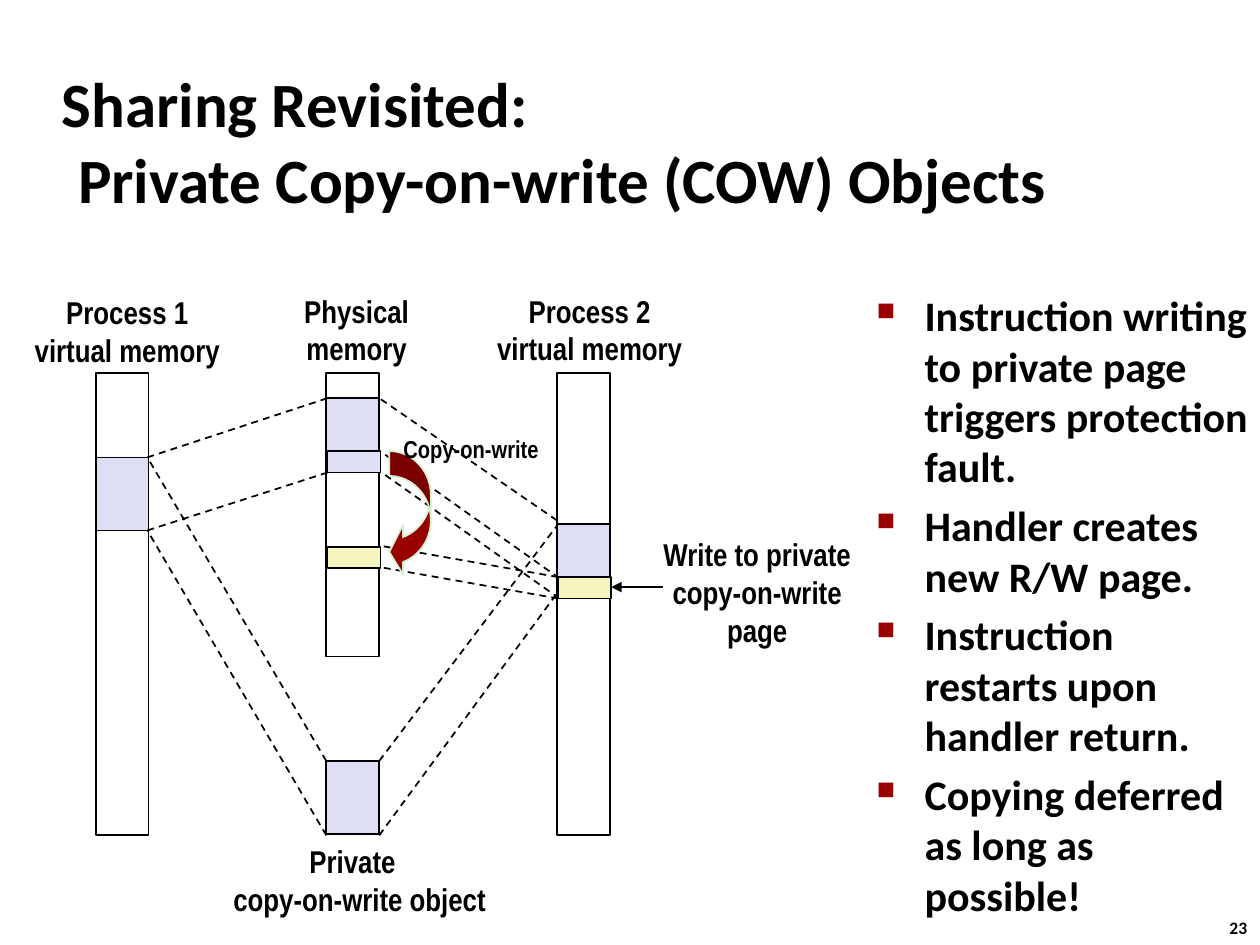
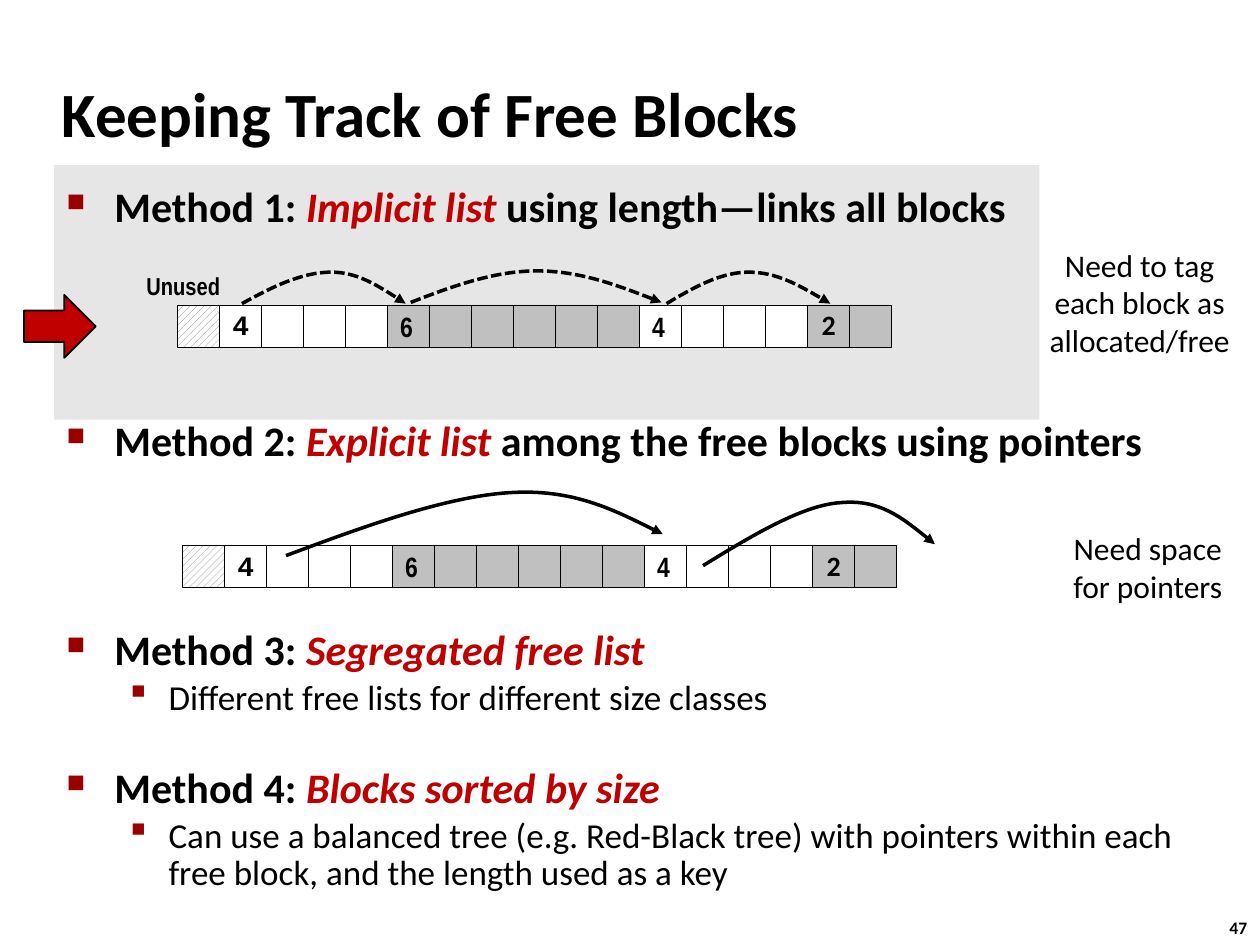
from pptx import Presentation
from pptx.dml.color import RGBColor
from pptx.enum.dml import MSO_LINE as Dash, MSO_PATTERN as Pat
from pptx.enum.shapes import MSO_CONNECTOR as Conn, MSO_SHAPE as Kind
from pptx.enum.text import MSO_ANCHOR as Anchor, MSO_AUTO_SIZE as Fit, PP_ALIGN as Align
from pptx.oxml.ns import qn
from pptx.util import Inches, Pt
from lxml.etree import SubElement

BLACK = RGBColor(0x00, 0x00, 0x00)
WHITE = RGBColor(0xFF, 0xFF, 0xFF)
MAROON = RGBColor(0x99, 0x00, 0x00)
RED = RGBColor(0xC0, 0x00, 0x00)
LILAC = RGBColor(0xDE, 0xDF, 0xF5)
CREAM = RGBColor(0xF6, 0xF5, 0xBD)
MINT = RGBColor(0xD5, 0xF1, 0xCF)
BAND = RGBColor(0xE6, 0xE6, 0xE6)
GRAY = RGBColor(0xC0, 0xC0, 0xC0)
HATCH = RGBColor(0x80, 0x80, 0x80)

SANS, SLIM, MONO = "Calibri", "Arial Narrow", "Courier New"
# Bullet levels: Wingdings square, percent size, left margin, hang, text size, bold
LEVELS = [("n", 60, 0.38, 0.38, 24, True),
          ("§", 110, 0.81, 0.31, 20, False)]


class Deck:
    def __init__(self):
        self.prs = Presentation()
        self.prs.slide_width, self.prs.slide_height = Inches(10), Inches(7.5)

    def page(self, lines, number, high):
        """Start a slide with its title and page number."""
        self.slide = self.prs.slides.add_slide(self.prs.slide_layouts[5])
        self.shapes = self.slide.shapes
        box = self.shapes.title
        box.left, box.top = Inches(0.39), Inches(0.48)
        box.width, box.height = Inches(8.3), Inches(high)
        frame = box.text_frame
        frame.auto_size, frame.word_wrap = Fit.NONE, True
        frame.vertical_anchor = Anchor.MIDDLE
        para = frame.paragraphs[0]
        para.alignment = Align.LEFT
        self.hang(para, 0.13, 0.13)
        for i, line in enumerate(lines):
            if i:
                para.add_line_break()
            self.run(para, line, 36)
        self.label([number], 9.66, 7.23, 0.37, 0.27, 10, SANS,
                   align=Align.LEFT, anchor=Anchor.TOP)

    def hang(self, para, left, back):
        props = para._p.get_or_add_pPr()
        props.set("marL", str(Inches(left)))
        props.set("indent", str(-Inches(back)))
        return props

    def run(self, para, text, size, font=SANS, bold=True, color=BLACK, italic=False):
        run = para.add_run()
        run.text = text
        face = run.font
        face.name, face.size = font, Pt(size)
        face.bold, face.italic = bold, italic
        face.color.rgb = color

    def label(self, lines, x, y, w, h, size=18, font=SLIM, bold=True,
              align=Align.CENTER, anchor=Anchor.MIDDLE):
        frame = self.shapes.add_textbox(Inches(x), Inches(y), Inches(w), Inches(h)).text_frame
        frame.word_wrap, frame.vertical_anchor = False, anchor
        for i, line in enumerate(lines):
            para = frame.add_paragraph() if i else frame.paragraphs[0]
            para.alignment = align
            self.run(para, line, size, font, bold)

    def body(self, items, x, y, w, h):
        """Bulleted text; an item is (level, gap before, line spacing, runs)."""
        frame = self.shapes.add_textbox(Inches(x), Inches(y), Inches(w), Inches(h)).text_frame
        frame.word_wrap, frame.margin_right = True, Inches(0.08)
        for i, (level, gap, space, parts) in enumerate(items):
            mark, scale, left, back, size, bold = LEVELS[level]
            para = frame.add_paragraph() if i else frame.paragraphs[0]
            props = self.hang(para, left, back)
            tint = SubElement(props, qn("a:buClr"))
            SubElement(tint, qn("a:srgbClr"), val=str(MAROON))
            SubElement(props, qn("a:buSzPct"), val=str(scale * 1000))
            SubElement(props, qn("a:buFont"), typeface="Wingdings", charset="2")
            SubElement(props, qn("a:buChar"), char=mark)
            para.level, para.line_spacing = level, space
            para.space_before = Pt(gap)
            for text, accent in parts:
                self.run(para, text, size, bold=bold,
                         color=RED if accent else BLACK, italic=accent)

    def shape(self, x, y, w, h, fill=None, kind=Kind.RECTANGLE, line=BLACK, width=1):
        item = self.shapes.add_shape(kind, Inches(x), Inches(y), Inches(w), Inches(h))
        item.shadow.inherit = False
        if fill is None:
            item.fill.background()
        else:
            item.fill.solid()
            item.fill.fore_color.rgb = fill
        if line is None:
            item.line.fill.background()
        else:
            item.line.color.rgb, item.line.width = line, Pt(width)
        return item

    def stroke(self, item, width, dash=None, arrow=False):
        item.line.color.rgb, item.line.width = BLACK, Pt(width)
        if dash:
            item.line.dash_style = dash
        if arrow:
            SubElement(item.line._get_or_add_ln(), qn("a:tailEnd"), type="triangle")

    def line(self, x1, y1, x2, y2, dash=Dash.DASH, arrow=False):
        item = self.shapes.add_connector(
            Conn.STRAIGHT, Inches(x1), Inches(y1), Inches(x2), Inches(y2))
        self.stroke(item, 1, dash, arrow)
        SubElement(item._element.spPr, qn("a:effectLst"))

    def curve(self, points, dash=None):
        """Arrow along joined cubic curves, each ending where the next begins."""
        track = [(Inches(x), Inches(y)) for x, y in points]
        pen = self.shapes.build_freeform(*track[0])
        pen.add_line_segments(track[1:], close=False)
        item = pen.convert_to_shape()
        # Turn every three straight steps into one cubic curve
        route = next(item._element.iter(qn("a:path")))
        steps = route.findall(qn("a:lnTo"))
        for k in range(0, len(steps), 3):
            bend = SubElement(route, qn("a:cubicBezTo"))
            for step in steps[k:k + 3]:
                bend.append(step[0])
                route.remove(step)
        item.shadow.inherit = False
        item.fill.background()
        self.stroke(item, 2, dash, True)

    def blocks(self, x, y):
        """Heap row: a hatched unused cell, then blocks of 4, 6, 4 and 2."""
        side = 1 / 3
        pad = self.shape(x, y, side, side, WHITE, width=0.25)
        pad.fill.patterned()
        pad.fill.pattern = Pat.WIDE_UPWARD_DIAGONAL
        pad.fill.fore_color.rgb, pad.fill.back_color.rgb = HATCH, WHITE
        spot = 1
        for count, fill, font, align, space in [(4, WHITE, MONO, Align.CENTER, 0.94),
                                                (6, GRAY, SLIM, Align.LEFT, 1.0),
                                                (4, WHITE, SLIM, Align.LEFT, 1.0),
                                                (2, GRAY, SANS, Align.CENTER, 0.98)]:
            for i in range(count):
                cell = self.shape(x + spot * side, y, side, side, fill, width=0.25)
                spot += 1
                if i == 0:
                    frame = cell.text_frame
                    frame.word_wrap, frame.vertical_anchor = False, Anchor.MIDDLE
                    para = frame.paragraphs[0]
                    para.alignment, para.line_spacing = align, space
                    self.run(para, str(count), 16, font)


def sharing(deck):
    deck.page(["Sharing Revisited: ", "Private Copy-on-write (COW) Objects"], "23", 1.27)
    notes = ["Instruction writing to private page triggers protection fault.",
             "Handler creates new R/W page.",
             "Instruction restarts upon handler return.",
             "Copying deferred as long as possible!"]
    deck.body([(0, 4.8 if i else 0, 1.0, [(note, False)]) for i, note in enumerate(notes)],
              6.86, 2.25, 3.14, 4.93)

    # Memory columns and their shared areas
    one, phys, two, wide = 0.76, 2.59, 4.42, 0.42
    for x, y, h, fill in [(phys, 6.04, 0.58, LILAC), (phys, 2.96, 2.25, None),
                          (one, 2.96, 3.67, None), (two, 2.96, 3.67, None),
                          (phys, 3.16, 0.58, LILAC), (one, 3.63, 0.58, LILAC),
                          (two, 4.16, 0.58, LILAC)]:
        deck.shape(x, y, wide, h, fill)
    for lines, x, y, w in [(["Process 1", "virtual memory"], 0.1, 2.27, 1.82),
                           (["Physical", "memory"], 2.29, 2.26, 1.08),
                           (["Process 2", "virtual memory"], 3.77, 2.26, 1.82),
                           (["Private  ", "copy-on-write object"], 1.67, 6.63, 2.37)]:
        deck.label(lines, x, y, w, 0.71)

    # Mappings between the columns
    for ends in [(2.59, 6.04, 1.17, 3.63), (2.59, 6.63, 1.17, 4.21),
                 (3.01, 6.04, 4.43, 4.16), (3.01, 6.63, 4.42, 4.71),
                 (1.17, 3.63, 2.6, 3.16), (1.17, 4.21, 2.6, 3.75),
                 (4.42, 4.13, 3.01, 3.16), (4.44, 4.59, 3.03, 3.59),
                 (4.44, 4.75, 3.03, 3.75),
                 (4.43, 4.58, 3.01, 4.33), (4.43, 4.75, 3.01, 4.5)]:
        deck.line(*ends)

    # The copied page
    bend = deck.shape(3.09, 3.58, 0.33, 1, MAROON, Kind.CURVED_LEFT_ARROW, MINT)
    for i, value in enumerate([0.6, 1.2, 0.33]):
        bend.adjustments[i] = value
    deck.label(["Copy-on-write"], 3.06, 3.39, 1.36, 0.34, 14)
    for x, y, fill in [(2.6, 3.58, LILAC), (4.43, 4.58, CREAM), (2.6, 4.34, CREAM)]:
        deck.shape(x, y, wide, 0.17, fill)
    deck.label(["Write to private", "copy-on-write", "page"], 5.08, 4.19, 1.86, 1.01)
    deck.line(5.26, 4.66, 4.85, 4.66, None, True)


def tracking(deck):
    deck.page(["Keeping Track of Free Blocks"], "47", 0.83)
    deck.shape(0.43, 1.31, 7.82, 2.02, BAND, line=None)
    deck.body([
        (0, 0, 1.0, [("Method 1: ", False), ("Implicit list ", True),
                     ("using length—links all blocks", False)]),
        (0, 105, 1.0, [("Method 2: ", False), ("Explicit list ", True),
                       ("among the free blocks using pointers", False)]),
        (0, 95.5, 0.83, [("Method 3: ", False), ("Segregated free list", True)]),
        (1, 4, 0.88, [("Different free lists for different size classes", False)]),
        (0, 30, 0.83, [("Method 4: ", False), ("Blocks sorted by size", True)]),
        (1, 4, 0.88, [("Can use a balanced tree (e.g. Red-Black tree) with pointers "
                       "within each free block, and the length used as a key", False)]),
    ], 0.43, 1.38, 9.07, 5.87)

    # Implicit list: dashed hops from block to block
    for x, mid, end, y in [(1.92, 2.63, 3.22, 2.41), (3.26, 4.26, 5.25, 2.4),
                           (5.29, 5.94, 6.59, 2.41)]:
        top, rise, fall = y - 0.25, (mid - x) / 3, (end - mid) / 3
        deck.curve([(x, y), (x + rise, y - 0.13), (mid - rise, top), (mid, top),
                    (mid + fall, top), (end - fall, y - 0.13), (end, y)], Dash.SQUARE_DOT)
    deck.label(["Unused"], 1, 2.08, 0.91, 0.37, 14)
    deck.blocks(1.41, 2.42)

    # Explicit list: pointers among the free blocks
    deck.blocks(1.45, 4.33)
    deck.curve([(2.27, 4.41), (2.91, 4.17), (3.55, 3.94), (4.05, 3.91),
                (4.54, 3.88), (4.9, 4.06), (5.26, 4.24)])
    deck.curve([(5.58, 4.49), (5.97, 4.25), (6.37, 4.01), (6.67, 3.99),
                (6.98, 3.96), (7.2, 4.14), (7.42, 4.32)])

    # Remarks and marker
    for lines, x, y, w, h in [
            (["Need to tag", "each block as", "allocated/free"], 8.22, 1.9, 1.65, 1.01),
            (["Need space", "for pointers"], 8.39, 4.15, 1.44, 0.71)]:
        deck.label(lines, x, y, w, h, font=SANS, bold=False, anchor=Anchor.TOP)
    deck.shape(0.19, 2.34, 0.57, 0.5, RED, Kind.RIGHT_ARROW)


def main():
    deck = Deck()
    sharing(deck)
    tracking(deck)
    deck.prs.save("out.pptx")


if __name__ == "__main__":
    main()
